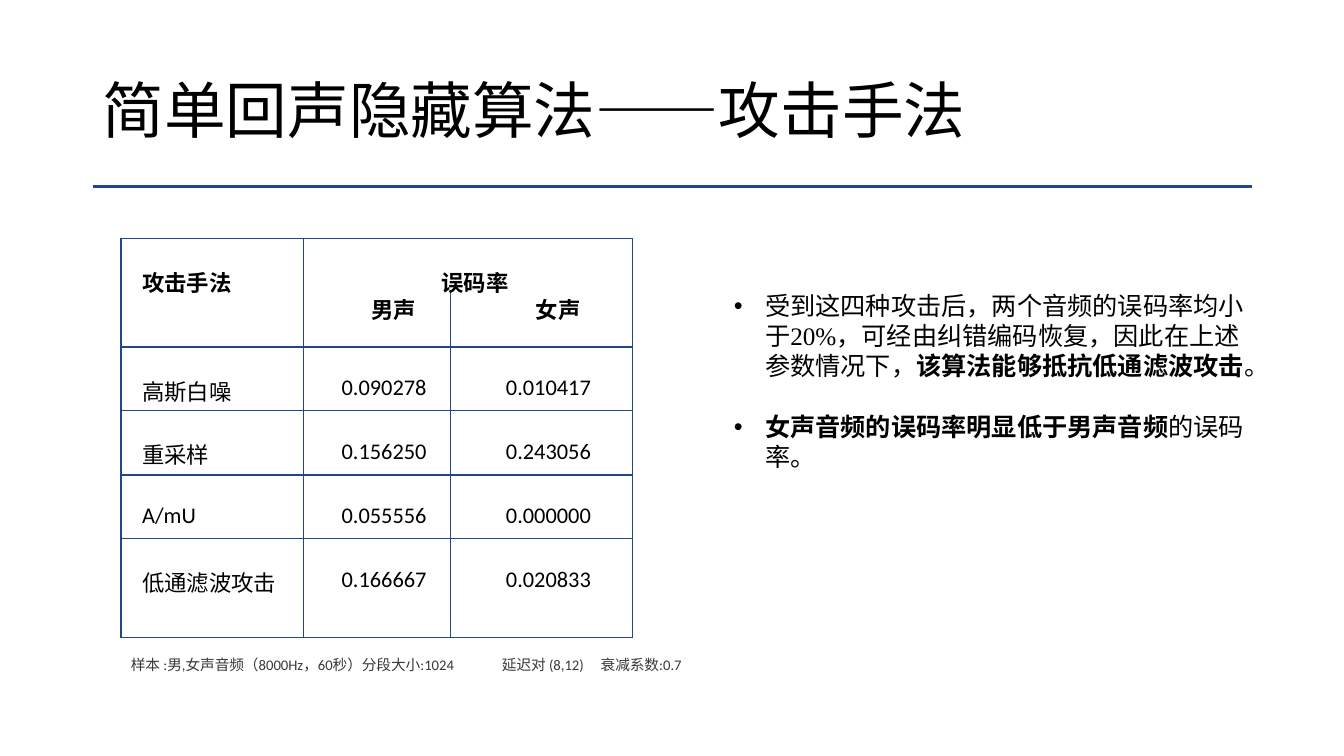
from lxml.etree import SubElement
from pptx import Presentation
from pptx.dml.color import RGBColor
from pptx.enum.shapes import MSO_CONNECTOR as Connector
from pptx.enum.text import MSO_ANCHOR as Anchor, MSO_AUTO_SIZE as AutoSize, PP_ALIGN as Align
from pptx.oxml.ns import qn
from pptx.util import Inches, Pt

TITLE = "简单回声隐藏算法——攻击手法"
FINDINGS = [
    [("受到这四种攻击后，两个音频的误码率均小于", False), ("20%", False),
     ("，可经由纠错编码恢复，因此在上述参数情况下，", False),
     ("该算法能够抵抗低通滤波攻击", True), ("。", False)],
    [("女声音频的误码率明显低于男声音频", True), ("的误码率。", False)],
]
ERROR_RATES = [
    ("攻击手法", "误码率", None),
    (None, "男声", "女声"),
    ("高斯白噪", "0.090278", "0.010417"),
    ("重采样", "0.156250", "0.243056"),
    ("A/mU", "0.055556", "0.000000"),
    ("低通滤波攻击", "0.166667", "0.020833"),
]
SAMPLE = "样本 :男,女声音频（8000Hz，60秒）分段大小:1024\t延迟对 (8,12)\t衰减系数:0.7"
SAMPLE_STOPS = (3.68, 4.66)
COLUMNS = (1.81, 1.46, 1.8)
ROWS = (0.42, 0.41, 0.63, 0.64, 0.63, 0.98)
HEADER_ROWS = 2
EMPTY_LINE = 0.27
BLACK, GREY, BLUE = "000000", "3B3838", "204888"
HAN, SERIF, SANS = "Noto Sans CJK SC", "Times New Roman", "Calibri"


def color(value):
    return RGBColor.from_string(value)


def add_run(paragraph, text, size, latin, ink=BLACK, bold=False):
    run = paragraph.add_run()
    run.text = text
    run.font.size, run.font.bold, run.font.name = Pt(size), bold, latin
    run.font.color.rgb = color(ink)
    SubElement(run.font._element, qn("a:ea"), typeface=HAN)


def add_box(slide, left, top, width, height):
    frame = slide.shapes.add_textbox(*map(Inches, (left, top, width, height))).text_frame
    frame.word_wrap = True
    return frame


def set_indent(paragraph, margin, first):
    properties = paragraph._p.get_or_add_pPr()
    properties.set("marL", str(Inches(margin)))
    properties.set("indent", str(Inches(first)))
    return properties


def add_border(cell, side, shown):
    line = SubElement(cell._tc.get_or_add_tcPr(), qn(f"a:ln{side}"), w=str(Pt(1)))
    if shown:
        fill = SubElement(line, qn("a:solidFill"))
        SubElement(fill, qn("a:srgbClr"), val=BLUE)
    else:
        SubElement(line, qn("a:noFill"))


def add_title(slide):
    frame = add_box(slide, 0.92, 0.4, 11.5, 1.45)
    frame.vertical_anchor = Anchor.MIDDLE
    frame.paragraphs[0].line_spacing = 0.9
    add_run(frame.paragraphs[0], TITLE, 44, SERIF)
    rule = slide.shapes.add_connector(
        Connector.STRAIGHT, *map(Inches, (0.92, 1.85, 12.42, 1.85)))
    rule.line.color.rgb, rule.line.width = color(BLUE), Pt(2)
    SubElement(rule._element.spPr, qn("a:effectLst"))


def add_findings(slide):
    frame = add_box(slide, 7.18, 2.83, 5.45, 2.52)
    frame.auto_size = AutoSize.SHAPE_TO_FIT_TEXT
    for index, finding in enumerate(FINDINGS):
        paragraph = frame.add_paragraph() if index else frame.paragraphs[0]
        paragraph.space_before = Pt(21.6 * index)
        properties = set_indent(paragraph, 0.31, -0.31)
        SubElement(properties, qn("a:buFont"), typeface="Arial")
        SubElement(properties, qn("a:buChar"), char="•")
        for text, bold in finding:
            add_run(paragraph, text, 18, SERIF, bold=bold)


def add_error_rates(slide):
    table = slide.shapes.add_table(len(ROWS), len(COLUMNS), *map(
        Inches, (1.2, 2.37, sum(COLUMNS), sum(ROWS)))).table
    table.first_row = table.horz_banding = False
    for column, width in zip(table.columns, COLUMNS):
        column.width = Inches(width)
    for row, height in zip(table.rows, ROWS):
        row.height = Inches(height)
    table.cell(0, 0).merge(table.cell(1, 0))
    table.cell(0, 1).merge(table.cell(0, 2))
    for r, texts in enumerate(ERROR_RATES):
        for c, text in enumerate(texts):
            cell = table.cell(r, c)
            voice = r == 1 and c > 0
            cell.margin_left = cell.margin_right = Inches(0.07)
            cell.margin_top = Inches(0 if voice else EMPTY_LINE)
            cell.margin_bottom = 0
            for side in "LRTB":
                under_heading = c > 0 and (r, side) in ((0, "B"), (1, "T"))
                add_border(cell, side, not under_heading)
            cell.fill.background()
            if text:
                paragraph = cell.text_frame.paragraphs[0]
                paragraph.alignment = Align.CENTER if c else Align.LEFT
                set_indent(paragraph, 0, 0.33 if voice else 0.14)
                add_run(paragraph, text, 16, SANS, bold=r < HEADER_ROWS)


def add_sample(slide):
    frame = add_box(slide, 1.2, 6.46, 5.89, 0.29)
    frame.auto_size = AutoSize.SHAPE_TO_FIT_TEXT
    paragraph = frame.paragraphs[0]
    stops = SubElement(paragraph._p.get_or_add_pPr(), qn("a:tabLst"))
    for stop in SAMPLE_STOPS:
        SubElement(stops, qn("a:tab"), pos=str(Inches(stop)), algn="l")
    add_run(paragraph, SAMPLE, 10.5, SANS, GREY)


def main():
    """Build the slide on error rates of echo hiding under four attacks."""
    deck = Presentation()
    deck.slide_width, deck.slide_height = Inches(13.33), Inches(7.5)
    slide = deck.slides.add_slide(deck.slide_layouts[6])
    add_title(slide)
    add_findings(slide)
    add_error_rates(slide)
    add_sample(slide)
    deck.save("out.pptx")


if __name__ == "__main__":
    main()
